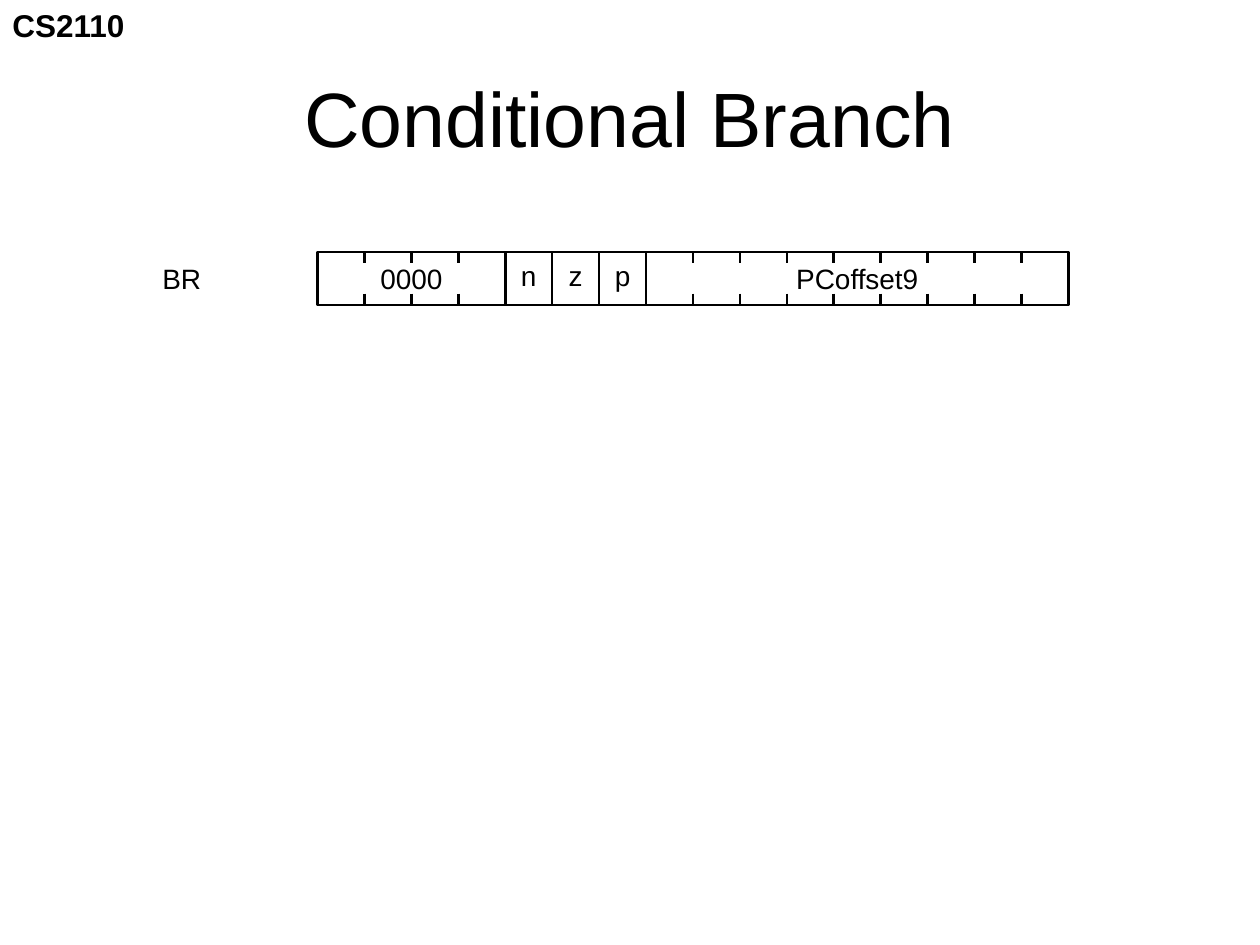
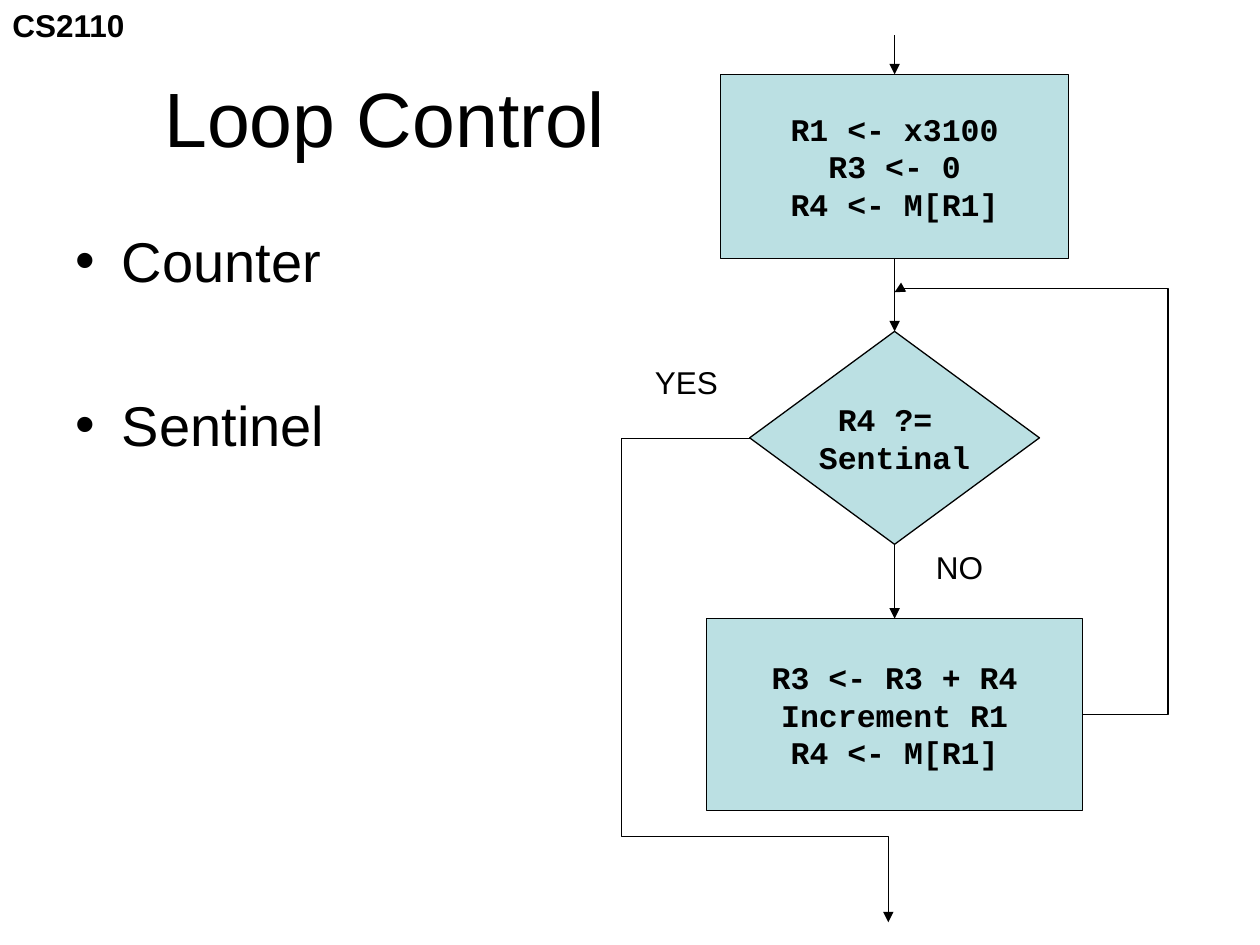
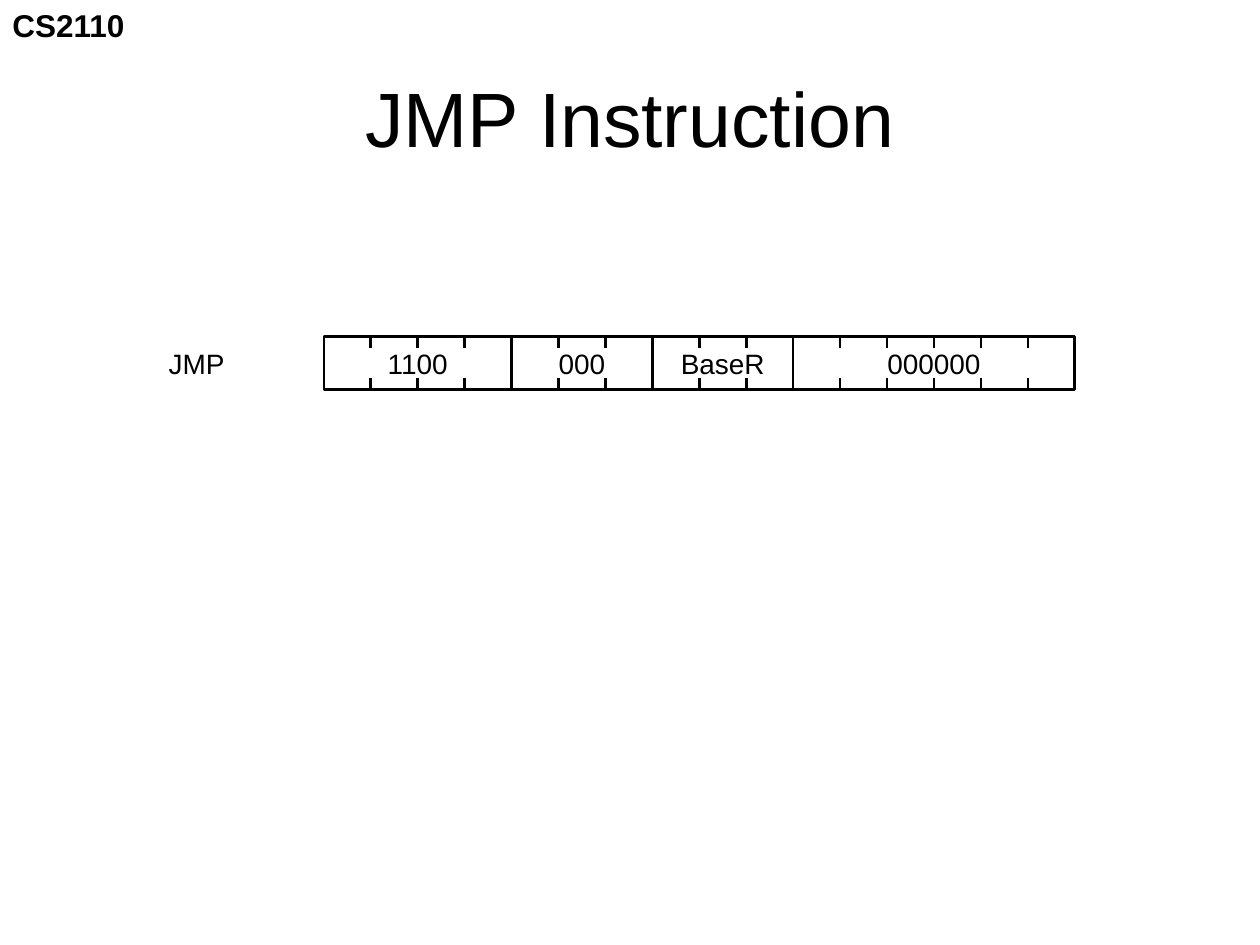
from lxml.etree import SubElement
from pptx import Presentation
from pptx.dml.color import RGBColor
from pptx.enum.shapes import MSO_CONNECTOR, MSO_SHAPE
from pptx.enum.text import MSO_ANCHOR, MSO_AUTO_SIZE, PP_ALIGN
from pptx.oxml.ns import qn
from pptx.util import Inches, Pt

BLACK = RGBColor(0x00, 0x00, 0x00)
TEAL = RGBColor(0xBB, 0xE0, 0xE3)
SANS = "Arial"
MONO = "Courier New"
BIT = 5.96 / 16
HIGH = 0.42
TICK = 0.09


def write(shape, lines, size, font=SANS, bold=False, align=PP_ALIGN.LEFT,
          anchor=MSO_ANCHOR.TOP, wrap=False):
    frame = shape.text_frame
    frame.word_wrap = wrap
    frame.vertical_anchor = anchor
    for i, line in enumerate(lines):
        para = frame.paragraphs[0] if i == 0 else frame.add_paragraph()
        para.alignment = align
        run = para.add_run()
        run.text = line
        run.font.name = font
        run.font.size = Pt(size)
        run.font.bold = bold
        run.font.color.rgb = BLACK
    return frame


def add_text(shapes, box, lines, size, **style):
    frame = write(shapes.add_textbox(*map(Inches, box)), lines, size, **style)
    if not frame.word_wrap:
        frame.auto_size = MSO_AUTO_SIZE.SHAPE_TO_FIT_TEXT
    return frame


def add_box(shapes, kind, box, weight, fill=None):
    shape = shapes.add_shape(kind, *map(Inches, box))
    shape.shadow.inherit = False
    if fill is None:
        shape.fill.background()
    else:
        shape.fill.solid()
        shape.fill.fore_color.rgb = fill
    shape.line.color.rgb = BLACK
    shape.line.width = Pt(weight)
    return shape


def add_line(shapes, start, end, weight=0.75, arrow=False,
             kind=MSO_CONNECTOR.STRAIGHT):
    line = shapes.add_connector(kind, *map(Inches, (*start, *end)))
    line.line.color.rgb = BLACK
    line.line.width = Pt(weight)
    props = line._element.spPr
    if arrow:
        SubElement(props.find(qn("a:ln")), qn("a:tailEnd"), type="triangle")
    SubElement(props, qn("a:effectLst"))
    return line


def add_bend(shapes, start, turn, end, arrow=False):
    """Draw an elbow that runs across to turn x, then to turn y, then to end."""
    line = add_line(shapes, start, end, arrow=arrow, kind=MSO_CONNECTOR.ELBOW)
    geom = line._element.spPr.find(qn("a:prstGeom"))
    geom.set("prst", "bentConnector4")
    guides = geom.find(qn("a:avLst"))
    for i in range(2):
        part = (turn[i] - start[i]) / (end[i] - start[i])
        SubElement(guides, qn("a:gd"), name=f"adj{i + 1}",
                   fmla=f"val {round(part * 100000)}")


def add_slide(deck, title, width=9):
    slide = deck.slides.add_slide(deck.slide_layouts[6])
    add_text(slide.shapes, (0, 0, 1.1, 0.4), ["CS2110"], 18, bold=True)
    add_text(slide.shapes, (0.5, 0.3, width, 1.25), [title], 44, wrap=True,
             align=PP_ALIGN.CENTER, anchor=MSO_ANCHOR.MIDDLE)
    return slide.shapes


def add_field(shapes, left, top, bits, text, room):
    """Draw one field of an instruction, with ticks between its bits."""
    width = bits * BIT
    cell = add_box(shapes, MSO_SHAPE.RECTANGLE, (left, top, width, HIGH), 1.5)
    if bits == 1:
        write(cell, [text], 16, align=PP_ALIGN.CENTER, wrap=True)
        return
    for i in range(1, bits):
        x = left + i * BIT
        for y in (top, top + HIGH - TICK):
            add_line(shapes, (x, y), (x, y + TICK), 1.5)
    add_text(shapes, (left + (width - room) / 2, top + 0.03, room, 0.37),
             [text], 16, align=PP_ALIGN.CENTER)


def add_word(shapes, left, top, name, room, fields):
    """Draw a named 16-bit instruction word."""
    group = shapes.add_group_shape().shapes
    x = left + 1.33
    for text, bits, space in fields:
        add_field(group, x, top, bits, text, space)
        x += bits * BIT
    add_text(group, (left, top + 0.03, room, 0.37), [name], 16)


def add_list(shapes, box, items):
    frame = add_text(shapes, box, items, 32, wrap=True)
    for i, para in enumerate(frame.paragraphs):
        props = para._p.get_or_add_pPr()
        props.set("marL", str(Inches(0.37)))
        props.set("indent", str(-Inches(0.37)))
        SubElement(props, qn("a:buFont"), typeface=SANS)
        SubElement(props, qn("a:buChar"), char="•")
        if i:
            para.space_before = Pt(55)


def add_flow(shapes, left, top):
    mid = left + 2.17

    def step(kind, y, width, height, lines):
        box = (mid - width / 2, top + y, width, height)
        shape = add_box(shapes, kind, box, 0.75, TEAL)
        write(shape, lines, 18, font=MONO, bold=True, align=PP_ALIGN.CENTER,
              anchor=MSO_ANCHOR.MIDDLE)

    step(MSO_SHAPE.FLOWCHART_PROCESS, 0.31, 2.76, 1.46,
         ["R1 <- x3100", "R3 <- 0", "R4 <- M[R1]"])
    step(MSO_SHAPE.FLOWCHART_DECISION, 2.35, 2.3, 1.69,
         ["R4 ?= ", "Sentinal"])
    step(MSO_SHAPE.FLOWCHART_PROCESS, 4.63, 2.98, 1.52,
         ["R3 <- R3 + R4", "Increment R1", "R4 <- M[R1]"])
    for y, end in ((0, 0.31), (1.77, 2.35), (4.04, 4.63)):
        add_line(shapes, (mid, top + y), (mid, top + end), arrow=True)
    add_text(shapes, (left + 2.4, top + 4.02, 0.58, 0.4), ["NO"], 18)
    add_text(shapes, (left + 0.17, top + 2.55, 0.7, 0.4), ["YES"], 18)
    add_bend(shapes, (mid + 1.49, top + 5.39), (left + 4.34, top + 2.01),
             (mid, top + 2.04), arrow=True)
    out = (mid - 0.05, top + 6.63)
    add_bend(shapes, (mid - 1.15, top + 3.2), (left, top + 6.36), out)
    add_line(shapes, out, (out[0], top + 7.04), arrow=True)


def main():
    deck = Presentation()
    deck.slide_width = Inches(10)
    deck.slide_height = Inches(7.5)

    branch = add_slide(deck, "Conditional Branch")
    add_word(branch, 1.19, 2, "BR", 0.51,
             [("0000", 4, 0.69), ("n", 1, 0), ("z", 1, 0), ("p", 1, 0),
              ("PCoffset9", 9, 1.18)])

    loop = add_slide(deck, "Loop Control", 5.11)
    add_list(loop, (0.5, 1.75, 2.97, 5.58), ["Counter", "Sentinel"])
    add_flow(loop, 4.93, 0.28)

    jump = add_slide(deck, "JMP Instruction")
    add_word(jump, 1.24, 2.67, "JMP", 0.65,
             [("1100", 4, 0.69), ("000", 3, 0.58), ("BaseR", 3, 0.88),
              ("000000", 6, 0.95)])

    deck.save("out.pptx")


if __name__ == "__main__":
    main()
